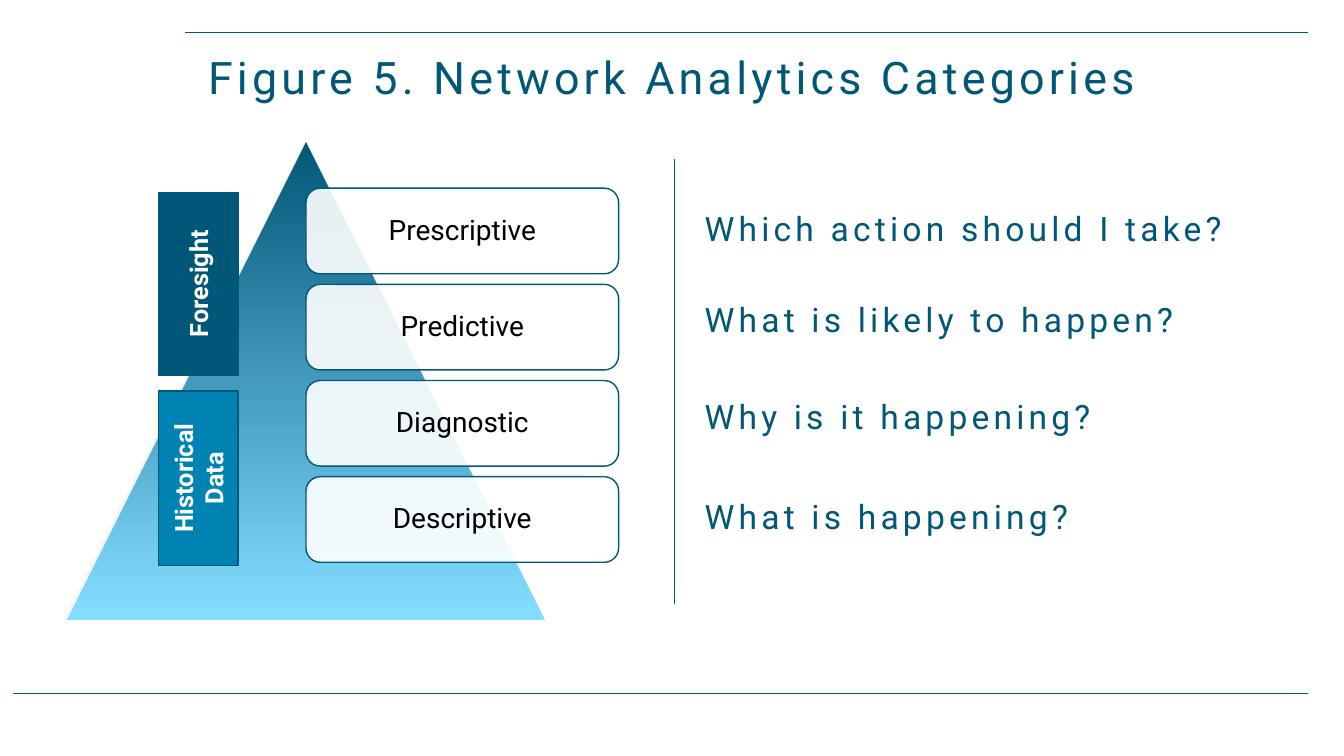
from pptx import Presentation
from pptx.dml.color import RGBColor
from pptx.enum import shapes, text
from pptx.oxml import ns
from pptx.util import Inches, Pt
from lxml import etree

NAVY = RGBColor(0x00, 0x57, 0x78)
BLUE = RGBColor(0x00, 0x83, 0xB3)
SKY = RGBColor(0x85, 0xDE, 0xFF)
WHITE = RGBColor(0xFF, 0xFF, 0xFF)
BLACK = RGBColor(0x00, 0x00, 0x00)
FONT = "Roboto"

LEVELS = ["Prescriptive", "Predictive", "Diagnostic", "Descriptive"]
QUESTIONS = [
    (2.01, "Which action should I take?"),
    (2.92, "What is likely to happen?"),
    (3.88, "Why is it happening?"),
    (4.87, "What is happening?"),
]


def write(sp, words, size, color, bold=False, spacing=0, align=text.PP_ALIGN.CENTER):
    """Put one styled paragraph in a shape; spacing is in points between letters."""
    tf = sp.text_frame
    tf.word_wrap = True
    tf.text = words
    p = tf.paragraphs[0]
    p.alignment = align
    r = p.runs[0]
    r.font.name, r.font.size, r.font.bold = FONT, Pt(size), bold
    r.font.color.rgb = color
    if spacing:
        r.font._element.set("spc", str(spacing * 100))
    return p


def add_line(slide, x1, y1, x2, y2, width=1):
    line = slide.shapes.add_connector(
        shapes.MSO_CONNECTOR.STRAIGHT, Inches(x1), Inches(y1), Inches(x2), Inches(y2))
    line.line.color.rgb = NAVY
    line.line.width = Pt(width)
    etree.SubElement(line._element.spPr, ns.qn("a:effectLst"))


def add_box(slide, kind, left, top, width, height, fill=None, outline=NAVY):
    sp = slide.shapes.add_shape(
        kind, Inches(left), Inches(top), Inches(width), Inches(height))
    sp.shadow.inherit = False
    if fill is not None:
        sp.fill.solid()
        sp.fill.fore_color.rgb = fill
    sp.line.color.rgb = outline
    sp.line.width = Pt(1)
    sp.text_frame.vertical_anchor = text.MSO_ANCHOR.MIDDLE
    return sp


def add_title(slide, left, top, width, height):
    sp = slide.shapes.add_textbox(Inches(left), Inches(top), Inches(width), Inches(height))
    sp.text_frame.vertical_anchor = text.MSO_ANCHOR.BOTTOM
    p = write(sp, "Figure 5. Network Analytics Categories", 32, NAVY, spacing=3)
    p.line_spacing = 0.8


def add_pyramid(slide, left, top, size):
    """Gradient triangle with the four category boxes to the right of its axis."""
    triangle = add_box(slide, shapes.MSO_SHAPE.ISOSCELES_TRIANGLE,
                       left, top, size, size, outline=WHITE)
    triangle.fill.gradient()
    triangle.fill.gradient_angle = 270
    for stop, color in zip(triangle.fill.gradient_stops, (NAVY, SKY)):
        stop.color.rgb = color

    height = size * 0.178
    pitch = size * 0.2
    for i, level in enumerate(LEVELS):
        sp = add_box(slide, shapes.MSO_SHAPE.ROUNDED_RECTANGLE, left + size / 2,
                     top + size * 0.1 + i * pitch, size * 0.65, height, WHITE)
        color = sp.fill._xPr.find(ns.qn("a:solidFill"))[0]
        etree.SubElement(color, ns.qn("a:alpha")).set("val", "90000")
        write(sp, level, 20, BLACK).line_spacing = 0.9


def add_side_label(slide, words, left, top, width, height, fill):
    sp = add_box(slide, shapes.MSO_SHAPE.RECTANGLE, left, top, width, height, fill)
    sp.text_frame._txBody.bodyPr.set("vert", "vert270")
    write(sp, words, 18, WHITE, bold=True)


def add_questions(slide, left, width):
    for top, question in QUESTIONS:
        sp = slide.shapes.add_textbox(Inches(left), Inches(top), Inches(width), Inches(0.5))
        p = write(sp, question, 24, NAVY, spacing=3, align=text.PP_ALIGN.LEFT)
        p._p.get_or_add_pPr().set("marL", str(Inches(0.05)))


def build_slide(prs):
    slide = prs.slides.add_slide(prs.slide_layouts[6])
    add_line(slide, 1.84, 0.32, 12.97, 0.32)
    add_line(slide, 0.13, 6.88, 12.97, 6.88)
    add_title(slide, 0, 0.47, 13.33, 0.6)
    add_pyramid(slide, 0.65, 1.39, 4.77)
    add_side_label(slide, "Foresight", 1.57, 1.91, 0.79, 1.81, NAVY)
    add_side_label(slide, "Historical Data", 1.57, 3.88, 0.79, 1.73, BLUE)
    add_line(slide, 6.69, 1.58, 6.69, 5.99, width=0.5)
    add_questions(slide, 6.84, 6.49)


def main():
    prs = Presentation()
    prs.slide_width, prs.slide_height = Inches(13.33), Inches(7.5)
    build_slide(prs)
    prs.save("out.pptx")


if __name__ == "__main__":
    main()
